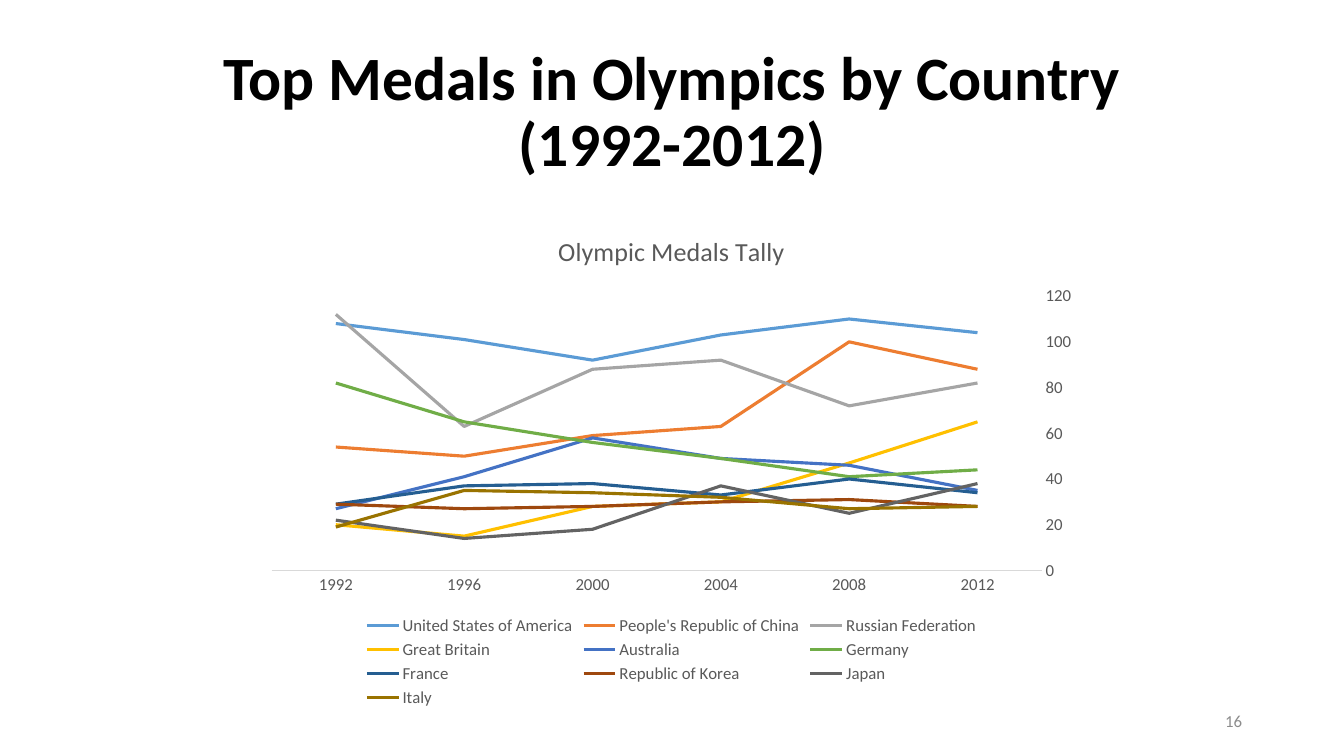
from pptx import Presentation
from pptx.chart.data import CategoryChartData
from pptx.dml.color import RGBColor
from pptx.enum.chart import XL_CHART_TYPE, XL_LEGEND_POSITION, XL_TICK_MARK
from pptx.enum.text import MSO_ANCHOR, MSO_AUTO_SIZE, PP_ALIGN
from pptx.util import Inches, Pt

COLORS = {"title": "000000", "chart": "595959", "axis": "D9D9D9", "number": "8C8C8C"}
YEARS = ["2012", "2008", "2004", "2000", "1996", "1992"]
MEDALS = [
    ("United States of America", "5B9BD5", (104, 110, 103, 92, 101, 108)),
    ("People's Republic of China", "ED7D31", (88, 100, 63, 59, 50, 54)),
    ("Russian Federation", "A5A5A5", (82, 72, 92, 88, 63, 112)),
    ("Great Britain", "FFC000", (65, 47, 30, 28, 15, 20)),
    ("Australia", "4472C4", (35, 46, 49, 58, 41, 27)),
    ("Germany", "70AD47", (44, 41, 49, 56, 65, 82)),
    ("France", "255E91", (34, 40, 33, 38, 37, 29)),
    ("Republic of Korea", "9E480E", (28, 31, 30, 28, 27, 29)),
    ("Japan", "636363", (38, 25, 37, 18, 14, 22)),
    ("Italy", "997300", (28, 27, 32, 34, 35, 19)),
]


class Deck:
    """Slide builder whose boxes are percentages of the slide's width and height."""

    font = "Calibri"

    def __init__(self):
        self.prs = Presentation()
        self.prs.slide_width, self.prs.slide_height = Inches(13.33), Inches(7.5)
        self.s = self.prs.slides.add_slide(self.prs.slide_layouts[5])

    def place(self, x, y, w, h):
        sw, sh = self.prs.slide_width, self.prs.slide_height
        return [int(share * side / 100) for share, side in zip((x, y, w, h), (sw, sh, sw, sh))]

    def style(self, font, size, color, bold=False):
        font.name, font.size, font.bold = self.font, Pt(size), bold
        font.color.rgb = RGBColor.from_string(COLORS[color])

    def add_lines(self, sp, lines, size, color, align, bold=False):
        tf = sp.text_frame
        tf.word_wrap, tf.auto_size = True, MSO_AUTO_SIZE.NONE
        tf.vertical_anchor = MSO_ANCHOR.MIDDLE
        p = tf.paragraphs[0]
        p.alignment = align
        for i, line in enumerate(lines):
            if i:
                p.add_line_break()
            r = p.add_run()
            r.text = line
            self.style(r.font, size, color, bold)
        return p

    def title(self, box, lines):
        sp = self.s.shapes.title
        sp.left, sp.top, sp.width, sp.height = self.place(*box)
        p = self.add_lines(sp, lines, 44, "title", PP_ALIGN.CENTER, True)
        p.line_spacing = 0.9

    def number(self, box, text):
        sp = self.s.shapes.add_textbox(*self.place(*box))
        self.add_lines(sp, [text], 12, "number", PP_ALIGN.RIGHT)

    def line_chart(self, box, title, categories, rows):
        data = CategoryChartData()
        data.categories = categories
        for name, _, values in rows:
            data.add_series(name, values)
        frame = self.s.shapes.add_chart(XL_CHART_TYPE.LINE, *self.place(*box), data)
        chart = frame.chart
        self.style(chart.font, 12, "chart")
        chart.has_title = True
        r = chart.chart_title.text_frame.paragraphs[0].add_run()
        r.text = title
        self.style(r.font, 18.6, "chart")
        chart.chart_title.include_in_layout = False
        chart.has_legend = True
        chart.legend.position = XL_LEGEND_POSITION.BOTTOM
        chart.legend.include_in_layout = False
        self.style(chart.legend.font, 12, "chart")
        plot = chart.plots[0]
        plot.vary_by_categories = False
        for series, (_, color, _) in zip(plot.series, rows):
            series.smooth = False
            series.format.line.width = Pt(2.25)
            series.format.line.color.rgb = RGBColor.from_string(color)
        for axis in (chart.category_axis, chart.value_axis):
            axis.major_tick_mark = axis.minor_tick_mark = XL_TICK_MARK.NONE
            axis.has_major_gridlines = False
            self.style(axis.tick_labels.font, 12, "chart")
        chart.category_axis.reverse_order = True
        line = chart.category_axis.format.line
        line.width = Pt(0.75)
        line.color.rgb = RGBColor.from_string(COLORS["axis"])
        values = chart.value_axis
        values.format.line.fill.background()
        values.minimum_scale, values.maximum_scale, values.major_unit = 0, 120, 20


def main():
    deck = Deck()
    deck.title((6.9, 5.33, 86.27, 19.33), ["Top Medals in Olympics by Country", "(1992-2012)"])
    deck.line_chart((18.98, 28.13, 61.97, 66), "Olympic Medals Tally", YEARS, MEDALS)
    deck.number((70.67, 92.67, 22.5, 5.33), "16")
    deck.prs.save("out.pptx")


if __name__ == "__main__":
    main()
